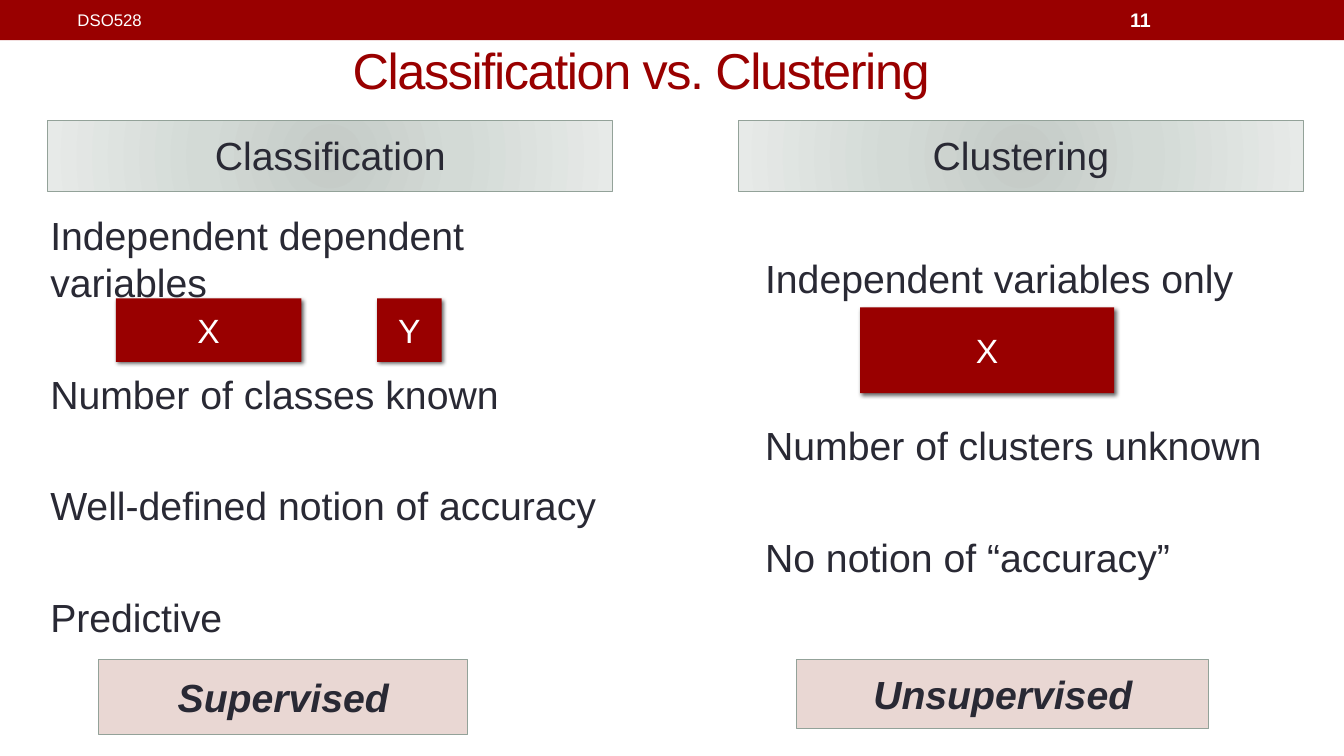
from pptx import Presentation
from pptx.dml.color import RGBColor
from pptx.enum.shapes import MSO_SHAPE
from pptx.enum.text import MSO_ANCHOR, PP_ALIGN
from pptx.oxml import parse_xml
from pptx.oxml.ns import nsdecls, qn
from pptx.util import Inches, Pt

CARDINAL = RGBColor(0x99, 0x00, 0x00)
WHITE = RGBColor(0xFF, 0xFF, 0xFF)
INK = RGBColor(0x29, 0x29, 0x34)
SAGE = RGBColor(0x93, 0xA2, 0x99)
BLUSH = RGBColor(0xE9, 0xD7, 0xD3)
HEADING_STOPS = [
    (0, RGBColor(0xC4, 0xCA, 0xC6)),
    (45, RGBColor(0xD3, 0xDA, 0xD6)),
    (100, RGBColor(0xE7, 0xEA, 0xE8)),
]


class SlideBuilder:
    font_name = "Arial"
    body_size = 28

    def __init__(self, slide):
        self.slide = slide

    def format_runs(self, paragraph, size, color, bold=False, italic=False):
        for run in paragraph.runs:
            run.font.name = self.font_name
            run.font.size = Pt(size)
            run.font.color.rgb = color
            run.font.bold = bold
            run.font.italic = italic

    def add_text(self, box, text, size, color, bold=False):
        shape = self.slide.shapes.add_textbox(*map(Inches, box))
        frame = shape.text_frame
        frame.word_wrap = True
        frame.vertical_anchor = MSO_ANCHOR.MIDDLE
        frame.text = text
        self.format_runs(frame.paragraphs[0], size, color, bold)
        return shape

    def add_title(self, box, text):
        shape = self.add_text(box, text, 36, CARDINAL)
        for run in shape.text_frame.paragraphs[0].runs:
            run.font._element.set("spc", "-100")

    def add_points(self, box, points):
        shape = self.slide.shapes.add_textbox(*map(Inches, box))
        frame = shape.text_frame
        frame.word_wrap = True
        frame.margin_top = Inches(0.1)
        frame.text = "\n".join(text for text, gap in points)
        for paragraph, (text, gap) in zip(frame.paragraphs, points):
            paragraph.space_before = Pt(gap)
            self.format_runs(paragraph, self.body_size, INK)

    def add_box(self, box, fill, line=None):
        shape = self.slide.shapes.add_shape(MSO_SHAPE.RECTANGLE, *map(Inches, box))
        shape.shadow.inherit = False
        shape.fill.solid()
        shape.fill.fore_color.rgb = fill
        if line is None:
            shape.line.fill.background()
        else:
            shape.line.color.rgb = line
            shape.line.width = Pt(0.75)
        return shape

    def add_label(self, shape, text, size, color, emphasis=False):
        frame = shape.text_frame
        frame.word_wrap = True
        frame.vertical_anchor = MSO_ANCHOR.MIDDLE
        frame.text = text
        paragraph = frame.paragraphs[0]
        paragraph.alignment = PP_ALIGN.CENTER
        self.format_runs(paragraph, size, color, emphasis, emphasis)

    def add_heading(self, box, text):
        shape = self.add_box(box, SAGE, SAGE)
        stops = "".join(
            f'<a:gs pos="{position * 1000}"><a:srgbClr val="{color}"/></a:gs>'
            for position, color in HEADING_STOPS
        )
        gradient = parse_xml(
            f'<a:gradFill {nsdecls("a")} rotWithShape="1"><a:gsLst>{stops}</a:gsLst>'
            '<a:path path="circle"><a:fillToRect l="100000" t="100000" '
            'r="100000" b="100000"/></a:path></a:gradFill>'
        )
        properties = shape._element.spPr
        properties.replace(properties.find(qn("a:solidFill")), gradient)
        self.add_label(shape, text, self.body_size, INK)
        shape.text_frame.vertical_anchor = MSO_ANCHOR.TOP
        shape.text_frame.margin_top = Inches(0.1)

    def add_variable(self, box, text):
        shape = self.add_box(box, CARDINAL)
        shadow = parse_xml(
            f'<a:outerShdw {nsdecls("a")} blurRad="{Pt(3)}" dist="{Pt(2)}" '
            'dir="2700000" algn="ctr" rotWithShape="0">'
            '<a:srgbClr val="000000"><a:alpha val="60000"/></a:srgbClr></a:outerShdw>'
        )
        shape._element.spPr.find(qn("a:effectLst")).append(shadow)
        self.add_label(shape, text, 24, WHITE)

    def add_verdict(self, box, text):
        shape = self.add_box(box, BLUSH, SAGE)
        self.add_label(shape, text, self.body_size, INK, emphasis=True)


def main():
    presentation = Presentation()
    presentation.slide_width = Inches(13.33)
    presentation.slide_height = Inches(7.5)
    builder = SlideBuilder(presentation.slides.add_slide(presentation.slide_layouts[6]))

    builder.add_box((0, 0, 13.33, 0.4), CARDINAL)
    builder.add_text((0.67, 0.02, 4.22, 0.36), "DSO528", 12, WHITE)
    builder.add_text((11.11, 0.02, 1.56, 0.36), "11", 14, WHITE, bold=True)
    builder.add_title((3.4, 0.15, 9, 1.08), "Classification vs. Clustering")

    builder.add_heading((0.47, 1.2, 5.61, 0.7), "Classification")
    builder.add_points((0.4, 2, 5.92, 4.62), [
        ("Independent dependent variables", 0),
        ("Number of classes known", 46),
        ("Well-defined notion of accuracy", 46),
        ("Predictive", 46),
    ])

    builder.add_heading((7.32, 1.2, 5.61, 0.7), "Clustering")
    builder.add_points((7.49, 2.42, 5.84, 3.98), [
        ("Independent variables only", 0),
        ("Number of clusters unknown", 86),
        ("No notion of “accuracy”", 46),
    ])

    builder.add_variable((8.53, 3.05, 2.52, 0.85), "X")
    builder.add_variable((1.15, 2.96, 1.84, 0.63), "X")
    builder.add_variable((3.74, 2.96, 0.64, 0.63), "Y")

    builder.add_verdict((0.98, 6.54, 3.66, 0.75), "Supervised")
    builder.add_verdict((7.9, 6.54, 4.09, 0.69), "Unsupervised")

    presentation.save("out.pptx")


if __name__ == "__main__":
    main()
